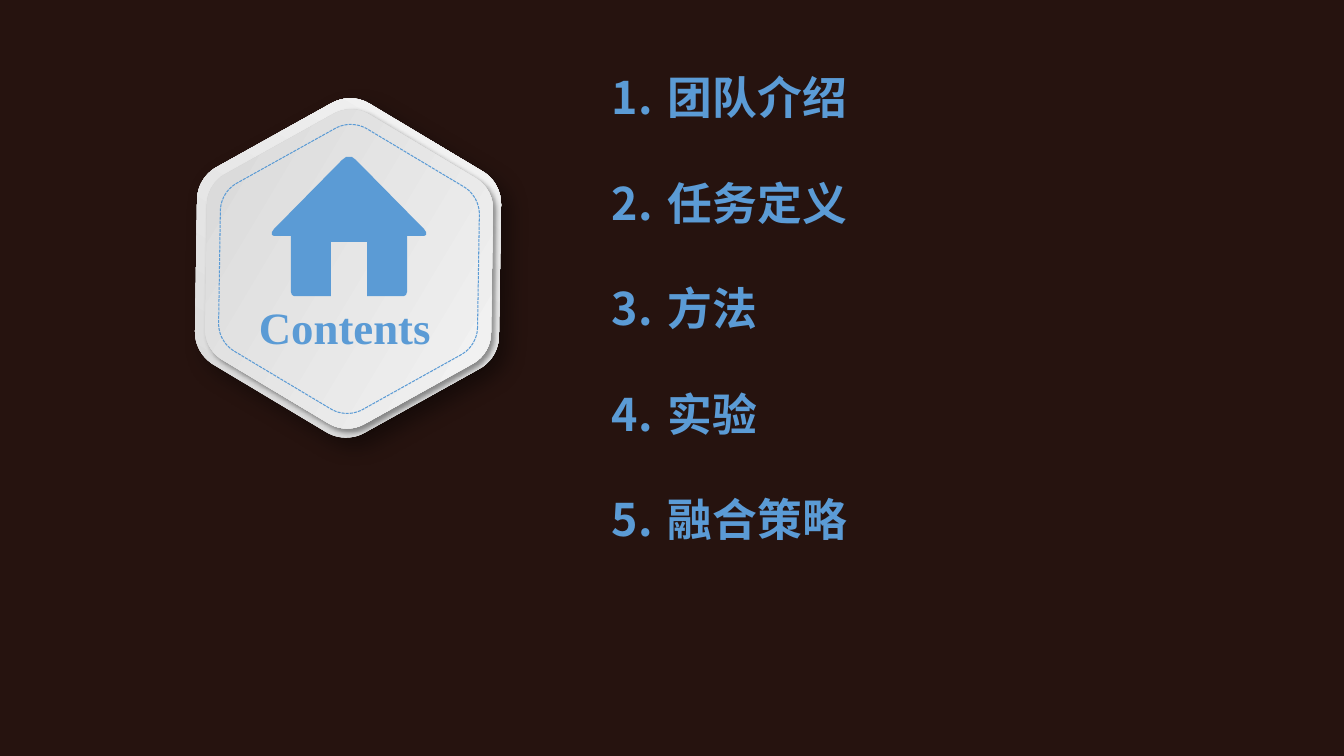
"""Build a contents slide with a hexagon badge and a numbered agenda."""
from math import cos, radians, sin, sqrt

from lxml.etree import SubElement
from pptx import Presentation
from pptx.dml.color import RGBColor
from pptx.enum.dml import MSO_LINE
from pptx.oxml.ns import qn
from pptx.util import Emu, Pt

TITLE = "Contents"
AGENDA = ["团队介绍", "任务定义", "方法", "实验", "融合策略"]
COLORS = {"background": "26130F", "accent": "5B9BD5", "dark": "D3D3D3",
          "light": "F9F9F9", "shadow": "000000"}
FONT = {"name": "Times New Roman", "size": Pt(32), "bold": True}
PX = 914400 / 100.8
SLIDE_SIZE = (1344, 756)
TITLE_BOX = (249, 295, 310, 65)
AGENDA_BOX = (602, 65, 433, 499)
INDENT = 56
AGENDA_GAP = Pt(37)
TILT = 30.9
CORNER = 0.25
ARC_STEPS = range(-30, 31, 5)
PLATES = [
    {"center": (348, 268), "height": 304, "angle": 90, "blur": 15, "distance": 9},
    {"center": (349, 269), "height": 286, "angle": 0, "blur": 4, "distance": 3},
]
STITCHING = {"center": (349, 269), "height": 259}
HOUSE_CENTER = 349
HOUSE_HALF = [(3, 157), (7, 160), (75, 229), (77, 232), (77, 235), (75, 236),
              (58, 236), (58, 292), (57, 295), (55, 296), (18, 296), (18, 242)]


def px(value):
    return Emu(round(value * PX))


def rgb(name):
    return RGBColor.from_string(COLORS[name])


def add_outline(slide, points):
    points = [(px(x), px(y)) for x, y in points]
    builder = slide.shapes.build_freeform(*points[0], scale=1.0)
    builder.add_line_segments(points[1:], close=True)
    shape = builder.convert_to_shape()
    shape.shadow.inherit = False
    return shape


def add_hexagon(slide, center, height):
    radius = height / 2 * CORNER
    reach = (height / 2 - radius) * 2 / sqrt(3)
    points = []
    for corner in range(0, 360, 60):
        for step in ARC_STEPS:
            points.append(tuple(
                middle + reach * turn(radians(corner)) + radius * turn(radians(corner + step))
                for middle, turn in zip(center, (cos, sin))))
    shape = add_outline(slide, points)
    shape.rotation = TILT
    return shape


def add_plate(slide, center, height, angle, blur, distance):
    shape = add_hexagon(slide, center, height)
    shape.line.fill.background()
    shape.fill.gradient()
    shape.fill.gradient_angle = angle
    for stop, name, position in zip(shape.fill.gradient_stops, ("dark", "light"), (0, 1)):
        stop.color.rgb = rgb(name)
        stop.position = position
    effects = shape._element.spPr.find(qn("a:effectLst"))
    shadow = SubElement(effects, qn("a:outerShdw"), blurRad=str(Pt(blur)),
                        dist=str(Pt(distance)), dir=str(45 * 60000),
                        algn="tl", rotWithShape="0")
    color = SubElement(shadow, qn("a:srgbClr"), val=COLORS["shadow"])
    SubElement(color, qn("a:alpha"), val="40000")


def add_text(slide, box, lines):
    frame = slide.shapes.add_textbox(*map(px, box)).text_frame
    frame.word_wrap = True
    frame.text = "\n".join(lines)
    for paragraph in frame.paragraphs:
        font = paragraph.runs[0].font
        for key, value in FONT.items():
            setattr(font, key, value)
        font.color.rgb = rgb("accent")
    return frame


def number_paragraph(paragraph):
    properties = paragraph._p.get_or_add_pPr()
    properties.set("marL", str(px(INDENT)))
    properties.set("indent", str(-px(INDENT)))
    SubElement(properties, qn("a:buFont"), typeface="+mj-ea")
    SubElement(properties, qn("a:buAutoNum"), type="arabicPeriod")


def main():
    presentation = Presentation()
    presentation.slide_width, presentation.slide_height = map(px, SLIDE_SIZE)
    slide = presentation.slides.add_slide(presentation.slide_layouts[6])
    slide.background.fill.solid()
    slide.background.fill.fore_color.rgb = rgb("background")

    for plate in PLATES:
        add_plate(slide, **plate)
    stitching = add_hexagon(slide, **STITCHING)
    stitching.fill.background()
    stitching.line.color.rgb = rgb("accent")
    stitching.line.width = Pt(0.75)
    stitching.line.dash_style = MSO_LINE.SQUARE_DOT

    right = [(HOUSE_CENTER + x, y) for x, y in HOUSE_HALF]
    left = [(HOUSE_CENTER - x, y) for x, y in reversed(HOUSE_HALF)]
    house = add_outline(slide, right + left)
    house.fill.solid()
    house.fill.fore_color.rgb = rgb("accent")
    house.line.fill.background()

    add_text(slide, TITLE_BOX, [TITLE])
    agenda = add_text(slide, AGENDA_BOX, AGENDA)
    for paragraph in agenda.paragraphs:
        paragraph.space_after = AGENDA_GAP
        number_paragraph(paragraph)
    presentation.save("out.pptx")


if __name__ == "__main__":
    main()
